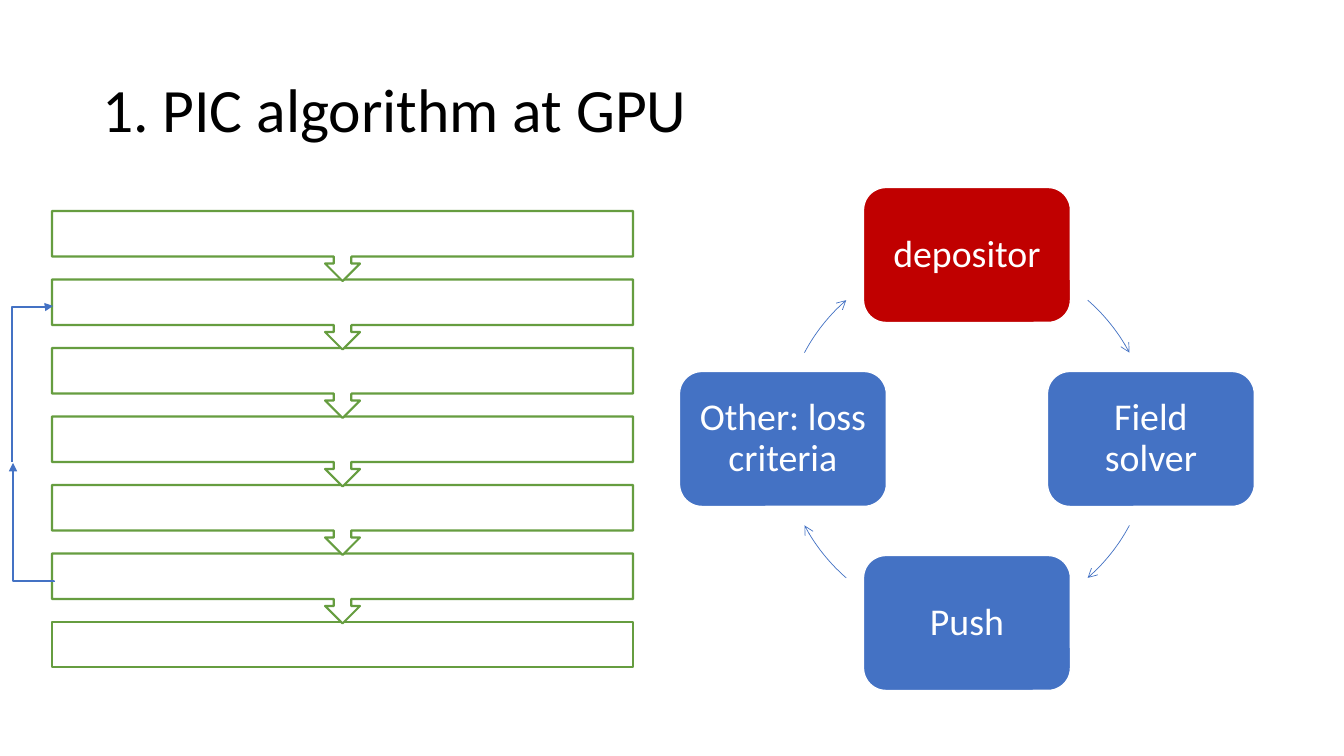
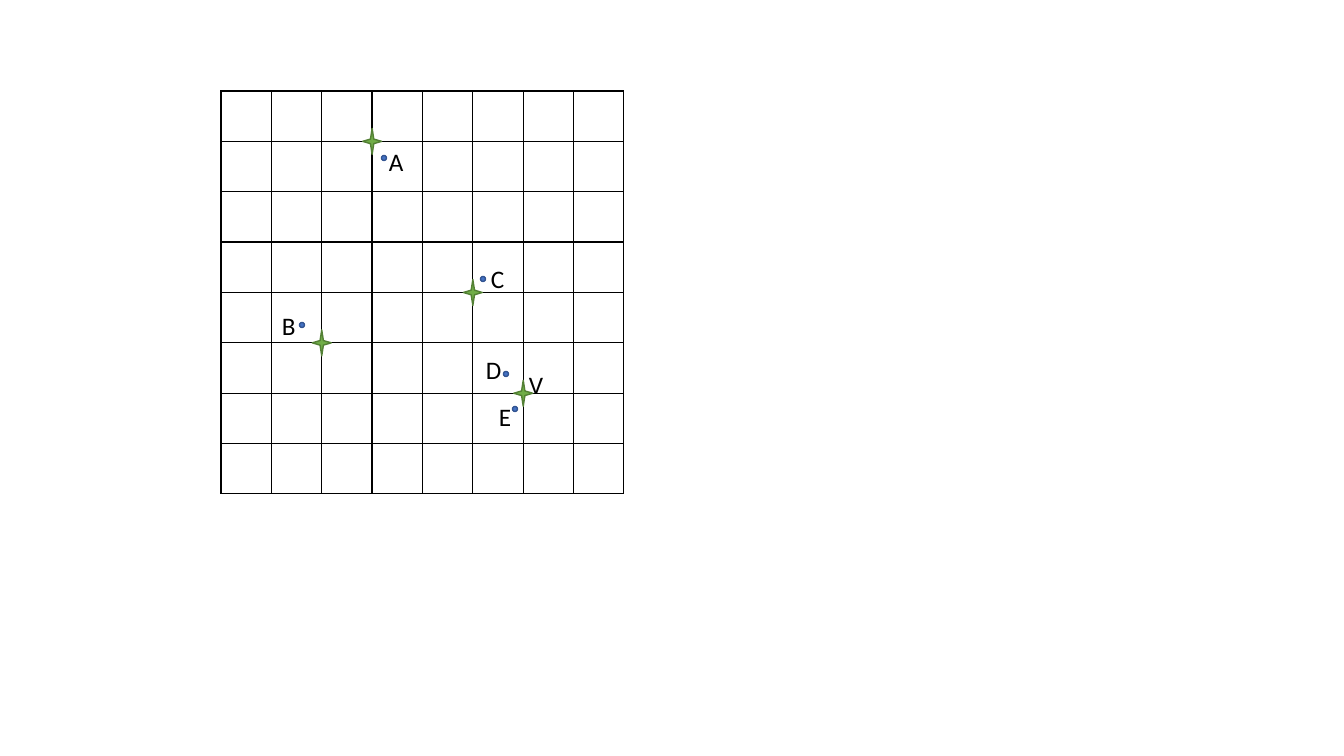
from math import cos, radians, sin

from lxml.etree import SubElement
from pptx import Presentation
from pptx.dml.color import RGBColor
from pptx.enum.shapes import MSO_CONNECTOR, MSO_SHAPE
from pptx.enum.text import MSO_ANCHOR, MSO_AUTO_SIZE, PP_ALIGN
from pptx.oxml.ns import qn
from pptx.util import Pt

EMU_PER_PX = 914400 / 100.8
COLORS = {
    "black": "000000", "white": "FFFFFF", "red": "C00000",
    "blue": "4472C4", "dark_blue": "325491",
    "green": "70AD47", "dark_green": "538035", "step_green": "669D40",
}
TITLE_LAYOUT, BLANK_LAYOUT = 5, 6


def px(n):
    """Turn pixels into EMU."""
    return round(n * EMU_PER_PX)


def rgb(name):
    """Look up a named colour."""
    return RGBColor.from_string(COLORS[name])


def set_all(obj, values):
    """Set every attribute in a dict of format values."""
    for name, value in values.items():
        setattr(obj, name, value)


class Deck:
    """Holds the presentation, its style and the current slide."""

    font = "Calibri"

    def __init__(self, width, height):
        self.prs = Presentation()
        set_all(self.prs, {"slide_width": px(width), "slide_height": px(height)})
        self.s = None

    def slide(self, layout):
        """Start a new slide."""
        self.s = self.prs.slides.add_slide(self.prs.slide_layouts[layout])

    def add_text(self, sp, text, size, color, frame, para):
        """Put one formatted paragraph in a shape."""
        tf = sp.text_frame
        set_all(tf, frame)
        p = tf.paragraphs[0]
        set_all(p, para)
        r = p.add_run()
        r.text = text
        set_all(r.font, {"name": self.font, "size": Pt(size)})
        r.font.color.rgb = rgb(color)

    def title(self, text):
        """Fill and place the title placeholder."""
        sp = self.s.shapes.title
        set_all(sp, {"left": px(92), "top": px(40),
                     "width": px(1159), "height": px(146)})
        self.add_text(sp, text, 44, "black",
                      {"vertical_anchor": MSO_ANCHOR.MIDDLE, "word_wrap": True,
                       "auto_size": MSO_AUTO_SIZE.NONE},
                      {"alignment": PP_ALIGN.LEFT, "line_spacing": 0.9})

    def outline(self, sp, color, width):
        """Style the line of a shape or connector."""
        sp.line.color.rgb = rgb(color)
        sp.line.width = Pt(width)

    def arrowhead(self, sp, kind):
        """Add an arrowhead at the end of a line."""
        SubElement(sp.element.spPr.find(qn("a:ln")), qn("a:tailEnd"), type=kind)

    def shape(self, kind, x, y, w, h, fill, line, width=1.0):
        """Add a filled preset shape."""
        sp = self.s.shapes.add_shape(kind, px(x), px(y), px(w), px(h))
        sp.shadow.inherit = False
        sp.fill.solid()
        sp.fill.fore_color.rgb = rgb(fill)
        self.outline(sp, line, width)
        return sp

    def centred(self, kind, cx, cy, w, h, fill, line):
        """Add a preset shape around a centre point."""
        return self.shape(kind, cx - w / 2, cy - h / 2, w, h, fill, line)

    def cycle_box(self, text, cx, cy, fill):
        """Add a rounded box of the cycle with its caption."""
        sp = self.centred(MSO_SHAPE.ROUNDED_RECTANGLE, cx, cy, 207, 135,
                          fill, "white")
        frame = {f"margin_{side}": px(12)
                 for side in ("left", "right", "top", "bottom")}
        frame.update(vertical_anchor=MSO_ANCHOR.MIDDLE, word_wrap=True)
        self.add_text(sp, text, 27, "white", frame,
                      {"alignment": PP_ALIGN.CENTER, "line_spacing": 0.9})

    def arc(self, cx, cy, radius, start, sweep):
        """Add an arc with an arrowhead; degrees run clockwise from the top."""
        steps = 14
        angles = [radians(start + sweep * i / steps) for i in range(steps + 1)]
        points = [(px(cx + radius * sin(a)), px(cy - radius * cos(a)))
                  for a in angles]
        builder = self.s.shapes.build_freeform(*points[0])
        builder.add_line_segments(points[1:], close=False)
        sp = builder.convert_to_shape()
        sp.shadow.inherit = False
        sp.fill.background()
        self.outline(sp, "blue", 0.5)
        self.arrowhead(sp, "arrow")

    def elbow(self, begin, end, bend, turn):
        """Add an elbow arrow turned by 90 degrees (turn 1) or 270 (turn -1)."""
        cx, cy = (begin[0] + end[0]) / 2, (begin[1] + end[1]) / 2
        ends = [px(v) for x, y in (begin, end)
                for v in (cx + turn * (y - cy), cy - turn * (x - cx))]
        sp = self.s.shapes.add_connector(MSO_CONNECTOR.ELBOW, *ends)
        self.outline(sp, "blue", 1.5)
        self.arrowhead(sp, "triangle")
        spPr = sp.element.spPr
        spPr.find(qn("a:xfrm")).set("rot", str(turn % 4 * 5400000))
        guides = spPr.find(qn("a:prstGeom")).find(qn("a:avLst"))
        SubElement(guides, qn("a:gd"), name="adj1", fmla=f"val {bend}")
        SubElement(spPr, qn("a:effectLst"))

    def grid(self, x, y, size, count):
        """Add a square table of empty, bordered cells."""
        table = self.s.shapes.add_table(count, count, px(x), px(y),
                                        px(size), px(size)).table
        set_all(table, {"first_row": False, "horz_banding": False})
        for cell in table.iter_cells():
            cell.fill.background()
            tcPr = cell._tc.get_or_add_tcPr()
            for i, side in enumerate("LRTB"):
                ln = SubElement(tcPr, qn(f"a:ln{side}"), w=str(Pt(1)))
                fill = SubElement(ln, qn("a:solidFill"))
                SubElement(fill, qn("a:srgbClr"), val=COLORS["black"])
                tcPr.insert(i, ln)

    def label(self, text, x, y):
        """Add a one-letter label."""
        sp = self.s.shapes.add_textbox(px(x), px(y), px(40), px(40))
        self.add_text(sp, text, 18, "black",
                      {"word_wrap": True,
                       "auto_size": MSO_AUTO_SIZE.SHAPE_TO_FIT_TEXT},
                      {"alignment": PP_ALIGN.LEFT})


def algorithm_slide(deck):
    """Build the step list with its loop, and the cycle."""
    deck.slide(TITLE_LAYOUT)
    deck.title("1. PIC algorithm at GPU")

    cx, cy, radius = 967, 439, 184
    boxes = [("depositor", "red"), ("Field solver", "blue"),
             ("Push", "blue"), ("Other: loss criteria", "blue")]
    for i, (text, fill) in enumerate(boxes):
        a = radians(90 * i)
        deck.cycle_box(text, cx + radius * sin(a), cy - radius * cos(a), fill)
    for start in (41, 118, 221, 298):
        deck.arc(cx, cy, radius, start, 21)

    left, top, width, pitch, last = 52, 211, 581, 68.5, 6
    deck.shape(MSO_SHAPE.RECTANGLE, left, top + last * pitch, width, 45,
               "white", "step_green", 1.5)
    for i in reversed(range(last)):
        sp = deck.shape(MSO_SHAPE.UP_ARROW_CALLOUT, left, top + i * pitch,
                        width, 70, "white", "step_green", 1.5)
        sp.rotation = 180
    deck.elbow((54, 582), (13, 463), 500, -1)
    deck.elbow((12, 462), (53, 306), 99400, 1)


def grid_slide(deck):
    """Build the grid with particles and their nearest nodes."""
    deck.slide(BLANK_LAYOUT)
    left, top, size, count = 221, 91, 403, 8
    deck.grid(left, top, size, count)
    for x, y in ((506, 374), (515, 409), (483, 279), (302, 325), (384, 158)):
        deck.centred(MSO_SHAPE.OVAL, x, y, 5, 5, "blue", "dark_blue")
    step = size / count
    for col, row in ((6, 6), (2, 5), (5, 4), (3, 1)):
        deck.centred(MSO_SHAPE.STAR_4_POINT, left + col * step, top + row * step,
                     19, 26, "green", "dark_green")
    for text, x, y in (("V", 519, 364), ("B", 272, 305), ("D", 476, 349),
                       ("E", 489, 396), ("C", 481, 258), ("A", 379, 141)):
        deck.label(text, x, y)


deck = Deck(1344, 756)
algorithm_slide(deck)
grid_slide(deck)
deck.prs.save("out.pptx")
